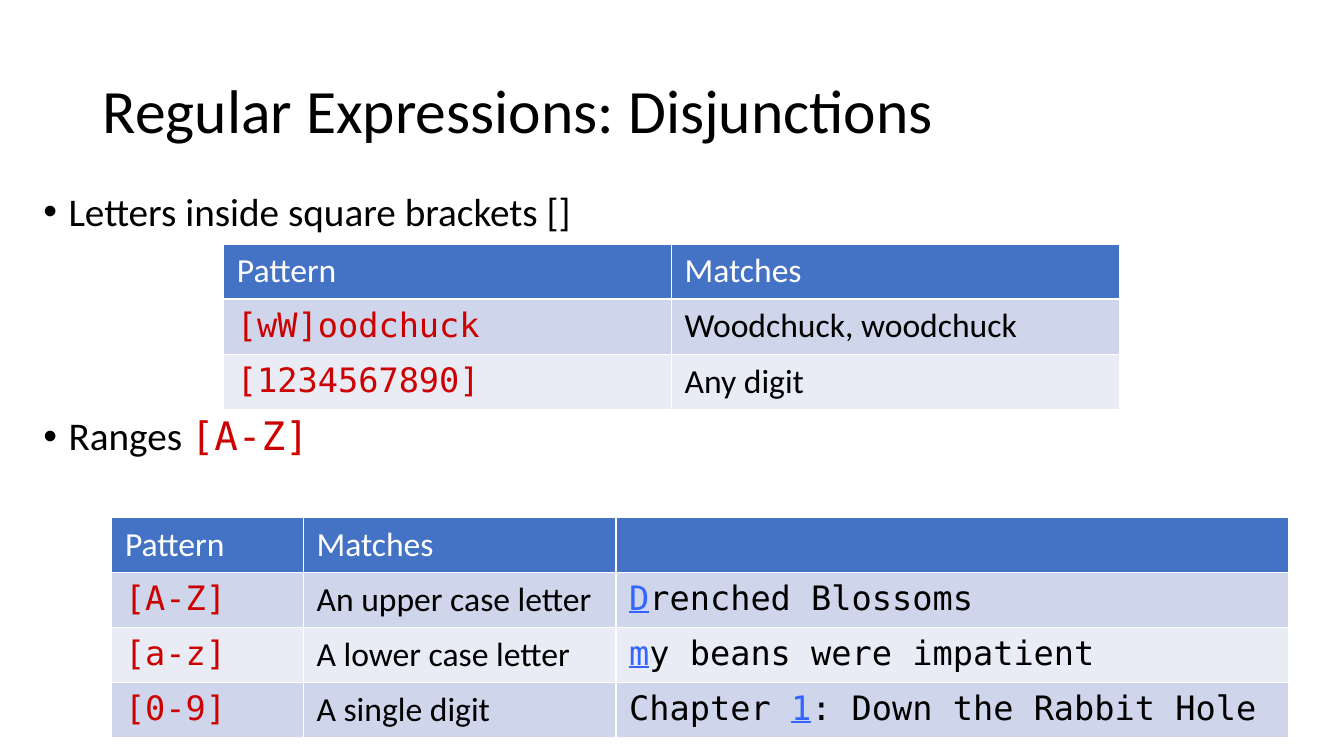
from lxml.etree import SubElement
from pptx import Presentation
from pptx.dml.color import RGBColor as RGB
from pptx.enum.text import MSO_ANCHOR as ANCHOR, MSO_AUTO_SIZE as FIT, PP_ALIGN as ALIGN
from pptx.oxml.ns import qn
from pptx.util import Inches, Pt

BLACK = RGB(0x00, 0x00, 0x00)
WHITE = RGB(0xFF, 0xFF, 0xFF)
RED = RGB(0xCC, 0x00, 0x00)
BLUE = RGB(0x33, 0x66, 0xFF)
HEADER = RGB(0x44, 0x72, 0xC4)
BANDS = RGB(0xCF, 0xD5, 0xEA), RGB(0xE9, 0xEB, 0xF5)
SANS, MONO = "Calibri", "DejaVu Sans Mono"

PLAIN = dict(name=SANS, color=BLACK)
HEAD = dict(name=SANS, color=WHITE, bold=False)
CODE = dict(name=MONO, color=RED)
SAMPLE = dict(name=MONO, color=BLACK)
MATCH = dict(name=MONO, color=BLUE, underline=True)


class Deck:
    """Holds the text style and the current slide, and adds elements to it."""

    def __init__(self, prs):
        self.s = prs.slides.add_slide(prs.slide_layouts[1])
        self.title_size, self.body_size, self.table_size = 44, 28, 24

    def place(self, sp, left, top, width, height, anchor):
        box = dict(left=left, top=top, width=width, height=height)
        for key, value in box.items():
            setattr(sp, key, Inches(value))
        tf = sp.text_frame
        frame = dict(auto_size=FIT.NONE, word_wrap=True, vertical_anchor=anchor)
        for key, value in frame.items():
            setattr(tf, key, value)
        return tf

    def add_runs(self, p, runs, size):
        for text, style in runs:
            r = p.add_run()
            r.text = text
            for key, value in dict(style, size=Pt(size)).items():
                if key == "color":
                    r.font.color.rgb = value
                else:
                    setattr(r.font, key, value)

    def title(self, text, *box):
        tf = self.place(self.s.shapes.title, *box, ANCHOR.MIDDLE)
        p = tf.paragraphs[0]
        p.alignment, p.line_spacing = ALIGN.LEFT, 0.9
        self.add_runs(p, [(text, PLAIN)], self.title_size)

    def bullets(self, items, *box):
        tf = self.place(self.s.placeholders[1], *box, ANCHOR.TOP)
        for i, (before, runs) in enumerate(items):
            p = tf.add_paragraph() if i else tf.paragraphs[0]
            p.line_spacing, p.space_before = 0.9, Pt(before)
            pPr = p._p.get_or_add_pPr()
            pPr.set("marL", str(Inches(0.25)))
            pPr.set("indent", str(Inches(-0.25)))
            SubElement(pPr, qn("a:buFont"), typeface="Arial")
            SubElement(pPr, qn("a:buChar"), char="•")
            self.add_runs(p, runs, self.body_size)

    def table(self, left, top, widths, header, rows, row_height=0.54):
        cells = [[[(text, HEAD)] if text else [] for text in header]] + rows
        box = left, top, sum(widths), row_height * len(cells)
        table = self.s.shapes.add_table(len(cells), len(widths), *map(Inches, box)).table
        for column, width in zip(table.columns, widths):
            column.width = Inches(width)
        margins = dict(margin_left=0.13, margin_right=0.13, margin_top=0.07, margin_bottom=0.07)
        for i, row in enumerate(cells):
            for j, runs in enumerate(row):
                cell = table.cell(i, j)
                for key, value in margins.items():
                    setattr(cell, key, Inches(value))
                cell.fill.solid()
                cell.fill.fore_color.rgb = BANDS[(i - 1) % 2] if i else HEADER
                self.add_runs(cell.text_frame.paragraphs[0], runs, self.table_size)


def main():
    prs = Presentation()
    prs.slide_width, prs.slide_height = Inches(13.33), Inches(7.5)
    deck = Deck(prs)
    deck.title("Regular Expressions: Disjunctions", 0.92, 0.4, 11.5, 1.45)
    deck.bullets([
        (10, [("Letters inside square brackets []", PLAIN)]),
        (130, [("Ranges ", PLAIN), ("[A-Z]", CODE)]),
    ], 0.33, 1.86, 11.35, 5.34)
    deck.table(2.22, 2.42, [4.44, 4.44], ["Pattern", "Matches"], [
        [[("[wW]oodchuck", CODE)], [("Woodchuck, woodchuck", PLAIN)]],
        [[("[1234567890]", CODE)], [("Any digit", PLAIN)]],
    ])
    deck.table(1.11, 5.13, [1.9, 3.1, 6.67], ["Pattern", "Matches", ""], [
        [[("[A-Z]", CODE)], [("An upper case letter", PLAIN)],
         [("D", MATCH), ("renched Blossoms", SAMPLE)]],
        [[("[a-z]", CODE)], [("A lower case letter", PLAIN)],
         [("m", MATCH), ("y beans were impatient", SAMPLE)]],
        [[("[0-9]", CODE)], [("A single digit", PLAIN)],
         [("Chapter ", SAMPLE), ("1", MATCH), (": Down the Rabbit Hole", SAMPLE)]],
    ])
    prs.save("out.pptx")


if __name__ == "__main__":
    main()
